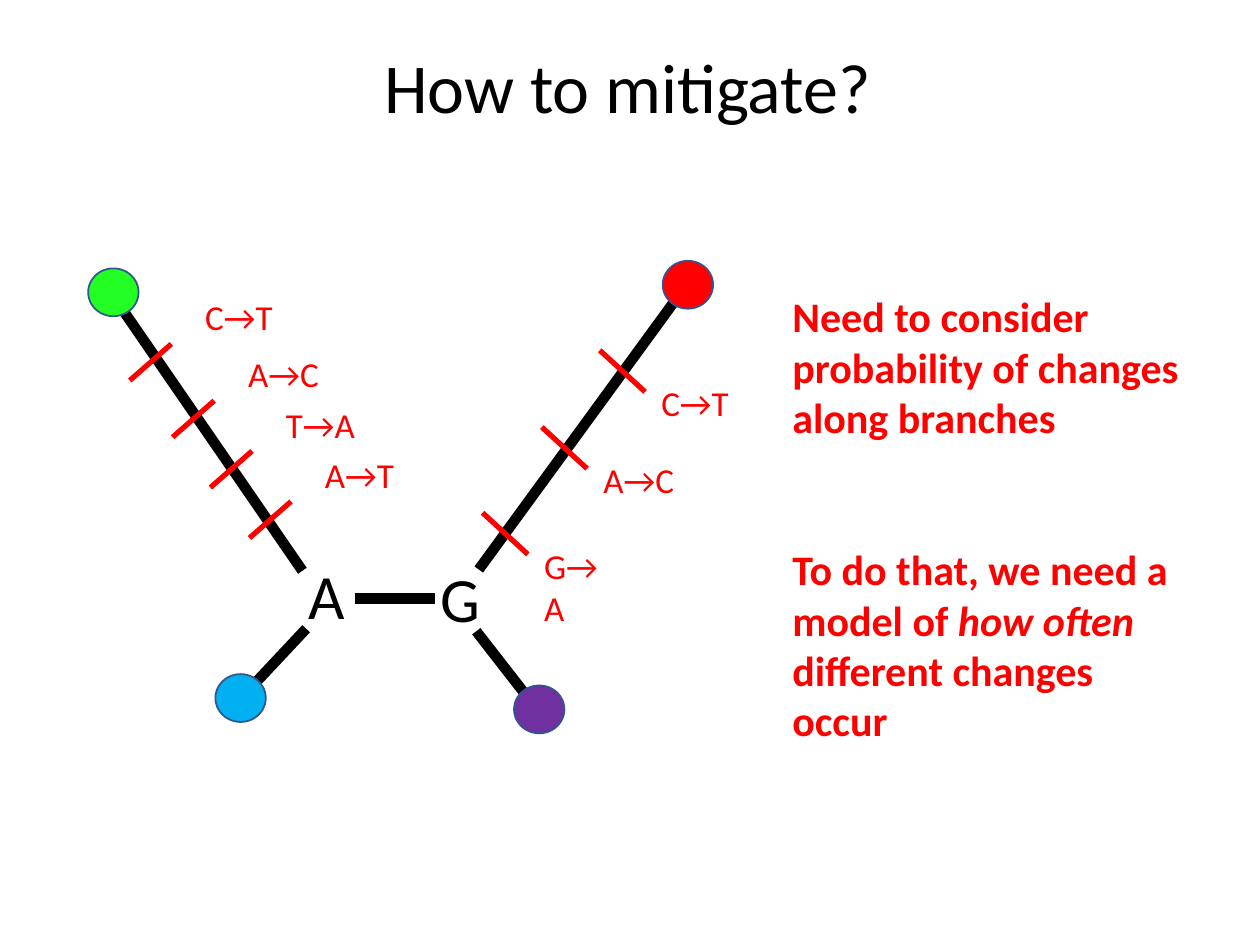
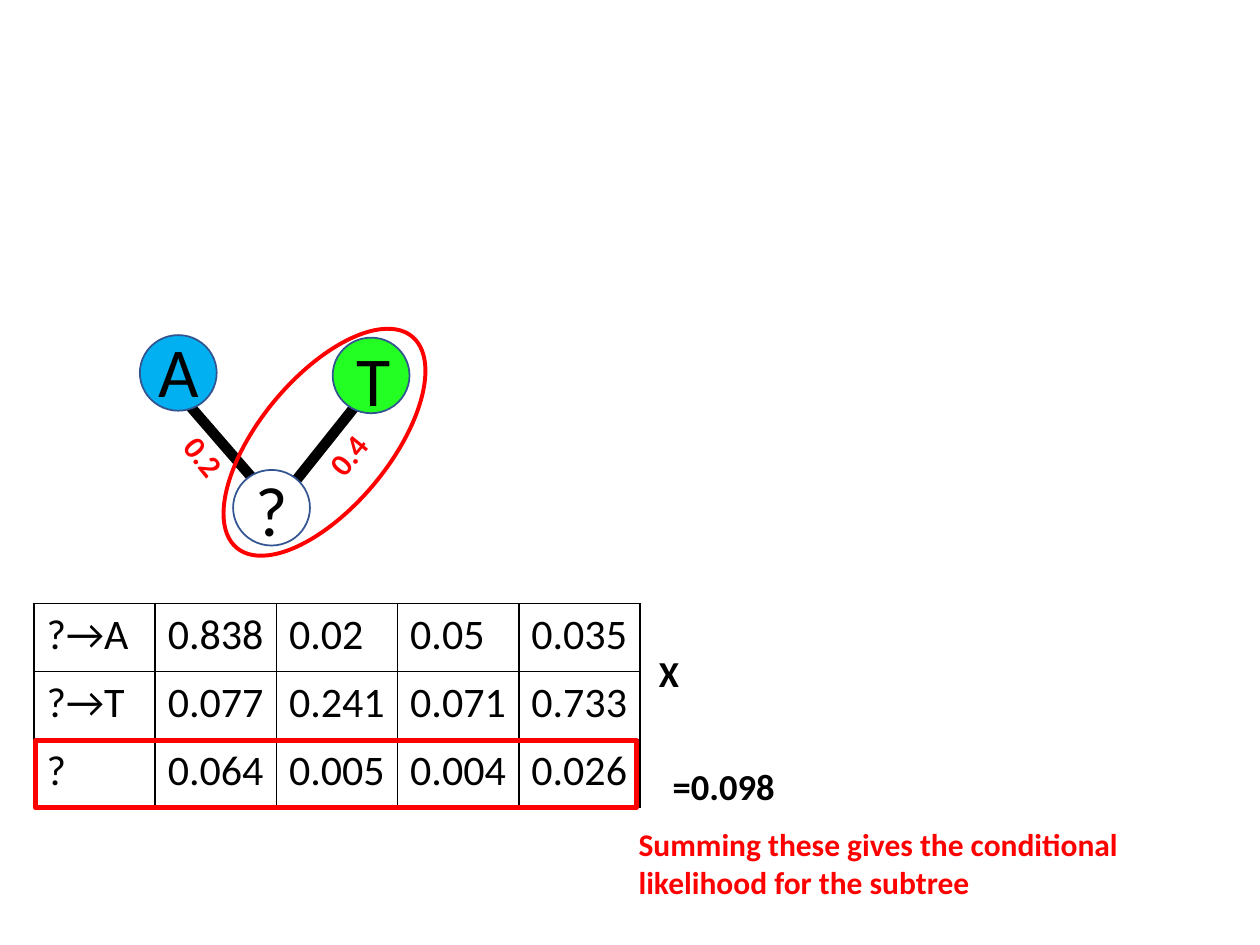
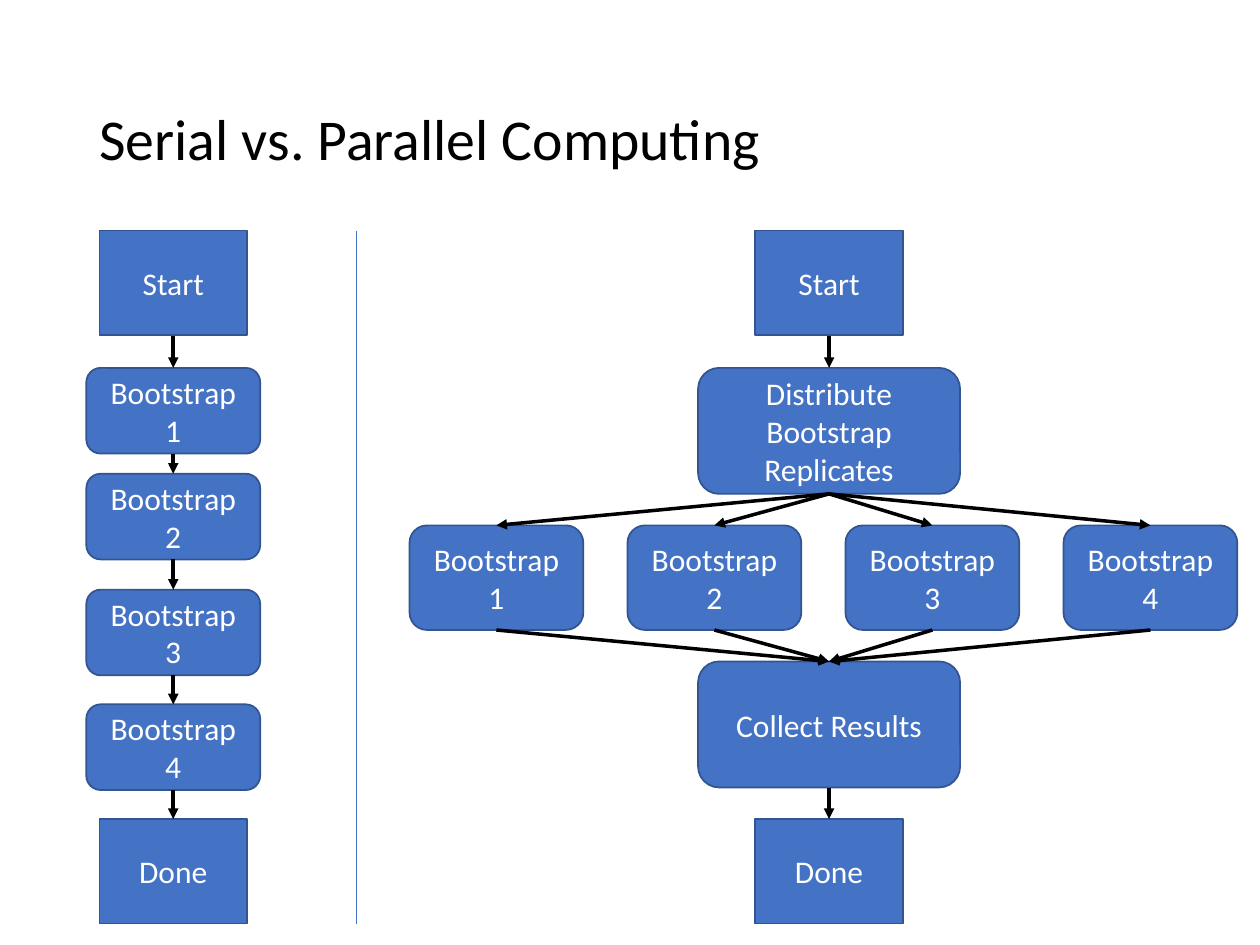
from lxml import etree
from pptx import Presentation
from pptx.dml.color import RGBColor
from pptx.enum.shapes import MSO_CONNECTOR, MSO_SHAPE
from pptx.enum.text import MSO_ANCHOR, PP_ALIGN
from pptx.oxml.ns import qn
from pptx.util import Inches, Pt

OVAL = MSO_SHAPE.OVAL
RECT = MSO_SHAPE.RECTANGLE
ROUND = MSO_SHAPE.ROUNDED_RECTANGLE
LINE = MSO_CONNECTOR.STRAIGHT
TOP, MIDDLE = MSO_ANCHOR.TOP, MSO_ANCHOR.MIDDLE
LEFT, CENTER = PP_ALIGN.LEFT, PP_ALIGN.CENTER


class Theme:
    font = "Calibri"
    black, white, red = "000000", "FFFFFF", "FF0000"
    green, sky, purple = "23FF23", "00B0F0", "7030A0"
    blue, edge = "4472C4", "325491"
    title, head, node, base = 40, 33, 40, 36
    note, label, small = 24, 20, 18
    branch, tick, arrow, thin = 6, 3, 2, 0.5


def put(slide, box, text="", kind=None, size=Theme.small, color=Theme.black, bold=False,
        fill=None, edge=Theme.edge, weight=1, align=LEFT, anchor=TOP, wrap=True, turn=0):
    area = [Inches(n) for n in box]
    if kind is None:
        shape = slide.shapes.add_textbox(*area)
    else:
        shape = slide.shapes.add_shape(kind, *area)
        shape.shadow.inherit = False
        shape.line.color.rgb = RGBColor.from_string(edge)
        shape.line.width = Pt(weight)
        if fill:
            shape.fill.solid()
            shape.fill.fore_color.rgb = RGBColor.from_string(fill)
        else:
            shape.fill.background()
    shape.rotation = turn
    if text:
        frame = shape.text_frame
        frame.text = text
        frame.word_wrap = wrap
        frame.vertical_anchor = anchor
        for para in frame.paragraphs:
            para.alignment = align
            for run in para.runs:
                run.font.name = Theme.font
                run.font.size = Pt(size)
                run.font.bold = bold
                run.font.color.rgb = RGBColor.from_string(color)
    return shape


def link(slide, start, end, color=Theme.black, weight=Theme.branch, arrow=False):
    line = slide.shapes.add_connector(LINE, *[Inches(n) for n in (*start, *end)])
    line.line.color.rgb = RGBColor.from_string(color)
    line.line.width = Pt(weight)
    if arrow:
        etree.SubElement(line.line._get_or_add_ln(), qn("a:tailEnd"), type="triangle")
    etree.SubElement(line._element.spPr, qn("a:effectLst"))


deck = Presentation()
deck.slide_width, deck.slide_height = Inches(10), Inches(7.5)
blank = deck.slide_layouts[6]

tree = deck.slides.add_slide(blank)
title = put(tree, (1.03, 0.24, 7.9, 0.96), "How to mitigate?", size=Theme.title,
            align=CENTER, anchor=MIDDLE)
title.text_frame.paragraphs[0].line_spacing = 0.9

for start, end in [((3.45, 4.75), (2.82, 4.75)), ((2.4, 4.53), (0.92, 2.38)),
                   ((3.78, 5.01), (4.2, 5.55)), ((3.8, 4.52), (5.42, 2.3)),
                   ((1.98, 5.47), (2.43, 4.99))]:
    link(tree, start, end)
for x, y, fill in [(0.7, 2.13, Theme.green), (4.08, 5.44, Theme.purple),
                   (5.26, 2.07, Theme.red), (1.71, 5.35, Theme.sky)]:
    put(tree, (x, y, 0.4, 0.38), kind=OVAL, fill=fill)
for x, y, base in [(2.35, 4.37, "A"), (3.4, 4.39, "G")]:
    put(tree, (x, y, 0.5, 0.71), base, size=Theme.base, wrap=False)

sides = [
    ((0.33, -0.29), (0.5, -0.72),
     [(1.98, 4.27, "A→T"), (1.67, 3.87, "T→A"), (1.37, 3.47, "A→C"), (1.03, 3.02, "C→T")]),
    ((0.36, 0.33), (0.39, 0.2),
     [(3.83, 4.07, "G→A"), (4.3, 3.39, "A→C"), (4.76, 2.78, "C→T")]),
]
for (run, rise), (dx, dy), marks in sides:
    for x, y, change in marks:
        link(tree, (x, y), (x + run, y + rise), Theme.red, Theme.tick)
        put(tree, (x + dx, y + dy, 0.78, 0.44), change, size=Theme.label,
            color=Theme.red, wrap=False)

note = put(tree, (6.19, 2.26, 3.35, 3.74),
           "Need to consider probability of changes along branches\n"
           "To do that, we need a model of how often different changes occur",
           size=Theme.note, color=Theme.red, bold=True)
model = note.text_frame.paragraphs[1]
model.space_before = Pt(58)
first = model.runs[0]
lead, tail = first.text.split("how often")
first.text = lead
for text, slant in [("how often", True), (tail, False)]:
    part = model.add_run()
    part.text = text
    part.font.name = Theme.font
    part.font.size = Pt(Theme.note)
    part.font.bold = True
    part.font.italic = slant
    part.font.color.rgb = RGBColor.from_string(Theme.red)

score = deck.slides.add_slide(blank)
link(score, (2.19, 4.01), (1.41, 3.11))
link(score, (2.2, 4), (2.91, 3.11))
for x, y, fill in [(1.11, 2.66, Theme.sky), (2.64, 2.68, Theme.green),
                   (1.85, 3.73, Theme.white)]:
    put(score, (x, y, 0.61, 0.6), kind=OVAL, fill=fill)
for box, base in [((1.16, 2.55, 0.53, 0.77), "A"), ((2.73, 2.62, 0.48, 0.77), "T"),
                  ((1.93, 3.65, 0.46, 0.77), "?")]:
    put(score, box, base, size=Theme.node, wrap=False)
for x, y, text, turn in [(2.5, 3.41, "0.4", 309.1), (1.36, 3.42, "0.2", 51)]:
    put(score, (x, y, 0.52, 0.4), text, color=Theme.red, bold=True, wrap=False, turn=turn)
put(score, (2.06, 2.42, 1.03, 2.18), kind=OVAL, edge=Theme.red, weight=2.25, turn=39.7)

rows = [
    ["?→A", "0.838", "0.02", "0.05", "0.035"],
    ["?→T", "0.077", "0.241", "0.071", "0.733"],
    ["?", "0.064", "0.005", "0.004", "0.026"],
]
table = score.shapes.add_table(3, 5, Inches(0.27), Inches(4.79), Inches(4.81), Inches(1.62)).table
table.first_row = table.horz_banding = False
for r, row in enumerate(rows):
    for c, text in enumerate(row):
        cell = table.cell(r, c)
        cell.text = text
        font = cell.text_frame.paragraphs[0].runs[0].font
        font.name = Theme.font
        font.size = Pt(Theme.note)
        font.color.rgb = RGBColor.from_string(Theme.black)
        props = cell._tc.get_or_add_tcPr()
        for side in ("lnL", "lnR", "lnT", "lnB"):
            rule = etree.SubElement(props, qn(f"a:{side}"), w=str(Pt(1)))
            solid = etree.SubElement(rule, qn("a:solidFill"))
            etree.SubElement(solid, qn("a:srgbClr"), val=Theme.black)
        cell.fill.background()

for box, text in [((5.13, 5.06, 0.41, 0.71), "X"), ((5.24, 5.95, 1.28, 0.71), "=0.098")]:
    sign = put(score, box, text, size=Theme.base, bold=True, wrap=text != "X")
    sign.text_frame.paragraphs[0].runs[0]._r.get_or_add_rPr().set("baseline", "30000")
put(score, (4.97, 6.5, 4.24, 0.71),
    "Summing these gives the conditional likelihood for the subtree",
    color=Theme.red, bold=True)
put(score, (0.28, 5.88, 4.77, 0.53), kind=RECT, edge=Theme.red, weight=3)

flow = deck.slides.add_slide(blank)
title = put(flow, (0.69, 0.4, 8.62, 1.45), "Serial vs. Parallel Computing",
            size=Theme.head, anchor=MIDDLE)
title.text_frame.paragraphs[0].line_spacing = 0.9
link(flow, (2.83, 1.83), (2.83, 7.33), Theme.blue, Theme.thin)

left, mid = 1.375, 6.58
steps = [2.92, 3.76, 4.68, 5.59]
lanes = [3.94 + 1.73 * n for n in range(4)]
boxes = [(RECT, x, y, 1.17, 0.83, text)
         for x in (left, mid) for y, text in ((1.83, "Start"), (6.5, "Done"))]
boxes += [(ROUND, mid, 2.92, 2.08, 1, "Distribute Bootstrap Replicates"),
          (ROUND, mid, 5.25, 2.08, 1, "Collect Results")]
for n, (step, lane) in enumerate(zip(steps, lanes), 1):
    boxes += [(ROUND, left, step, 1.38, 0.68, f"Bootstrap {n}"),
              (ROUND, lane, 4.17, 1.38, 0.83, f"Bootstrap {n}")]
for kind, x, y, width, height, text in boxes:
    put(flow, (x - width / 2, y, width, height), text, kind, color=Theme.white,
        fill=Theme.blue, align=CENTER, anchor=MIDDLE)

ends = [2.67] + [step + 0.68 for step in steps]
paths = [((left, top), (left, low)) for top, low in zip(ends, steps + [6.5])]
paths += [((mid, 2.67), (mid, 2.92)), ((mid, 6.25), (mid, 6.5))]
for lane in lanes:
    paths += [((mid, 3.92), (lane, 4.17)), ((lane, 5), (mid, 5.25))]
for start, end in paths:
    link(flow, start, end, weight=Theme.arrow, arrow=True)

deck.save("out.pptx")
